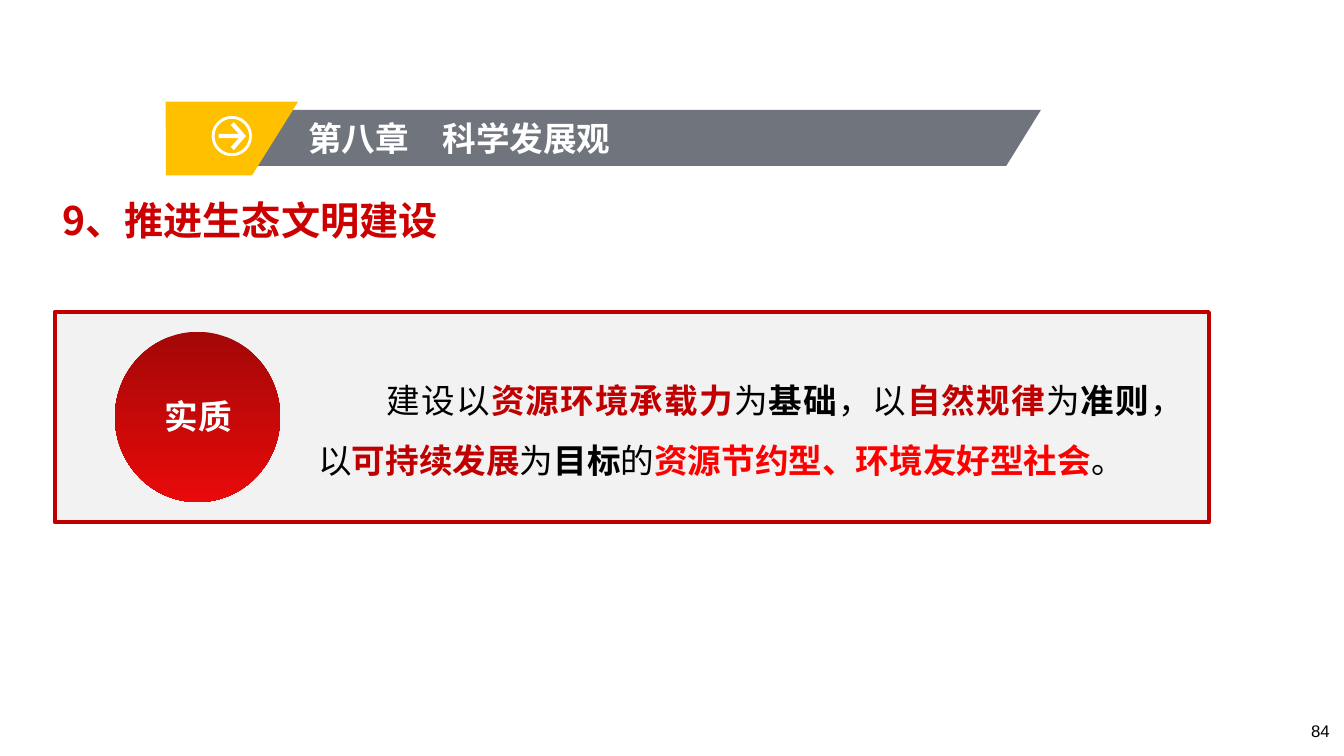
from lxml.etree import SubElement
from pptx import Presentation
from pptx.dml.color import RGBColor
from pptx.enum.shapes import MSO_SHAPE
from pptx.enum.text import MSO_ANCHOR, PP_ALIGN
from pptx.oxml.ns import qn
from pptx.util import Pt

COLORS = {
    "white": "FFFFFF", "black": "000000", "slate": "70757D", "amber": "FFC000",
    "heading": "CC0000", "panel": "F2F2F2", "crimson": "C00000", "red": "FF0000",
    "disc_top": "A40707", "disc_bottom": "E80A0A",
}
CJK = "Noto Sans CJK SC"


def rgb(name):
    return RGBColor.from_string(COLORS[name])


def paint(s, fill=None, line=None, width=0):
    s.shadow.inherit = False
    if fill:
        s.fill.solid()
        s.fill.fore_color.rgb = rgb(fill)
    else:
        s.fill.background()
    if line:
        s.line.color.rgb = rgb(line)
        s.line.width = Pt(width)
    else:
        s.line.fill.background()
    return s


def add_preset(shapes, kind, box, **style):
    return paint(shapes.add_shape(kind, *map(Pt, box)), **style)


def add_outline(shapes, points, fill):
    points = [(Pt(x), Pt(y)) for x, y in points]
    builder = shapes.build_freeform(*points[0], scale=1.0)
    builder.add_line_segments(points[1:], close=True)
    return paint(builder.convert_to_shape(), fill=fill)


def add_text(shapes, box, runs, size, font=CJK, wrap=True, anchor=MSO_ANCHOR.TOP,
             indent=0, **paragraph_format):
    """Each run is (text, color, bold)."""
    sp = shapes.add_textbox(*map(Pt, box))
    tf = sp.text_frame
    tf.word_wrap = wrap
    tf.vertical_anchor = anchor
    p = tf.paragraphs[0]
    if indent:
        p._p.get_or_add_pPr().set("indent", str(Pt(indent)))
    for name, value in paragraph_format.items():
        setattr(p, name, value)
    for text, color, bold in runs:
        r = p.add_run()
        r.text = text
        for name, value in {"name": font, "size": Pt(size), "bold": bold}.items():
            setattr(r.font, name, value)
        r.font.color.rgb = rgb(color)
        SubElement(r._r.get_or_add_rPr(), qn("a:ea")).set("typeface", font)
    return sp


def add_banner(shapes):
    add_outline(shapes, [(124, 78.5), (743.6, 78.5), (718.8, 118.5), (124, 118.5)], "slate")
    add_outline(shapes, [(118.3, 72.5), (213, 72.5), (180, 125.3), (118.6, 125.3)], "amber")
    add_text(shapes, (213, 80.6, 237, 36), [("第八章\u3000科学发展观".replace("\u3000", "　"), "white", True)],
             24, wrap=False)
    # Ringed arrow
    add_preset(shapes, MSO_SHAPE.OVAL, (152.2, 83.8, 26.8, 26.8), line="white", width=2)
    mid = 97.2
    upper = [(156.2, 1.5), (170.6, 1.5), (164.9, 7.8), (167, 10)]
    top = [(x, mid - dy) for x, dy in upper]
    bottom = [(x, mid + dy) for x, dy in reversed(upper)]
    add_outline(shapes, top + [(175.7, mid)] + bottom, "white")


def add_essence(shapes):
    add_preset(shapes, MSO_SHAPE.RECTANGLE, (39, 223, 824.5, 150),
               fill="panel", line="crimson", width=3)
    # Definition
    runs = [
        ("建设以", "black", False), ("资源环境承载力", "crimson", True),
        ("为", "black", False), ("基础", "black", True),
        ("，以", "black", False), ("自然规律", "crimson", True),
        ("为", "black", False), ("准则", "black", True),
        ("，以", "black", False), ("可持续发展", "crimson", True),
        ("为", "black", False), ("目标", "black", True),
        ("的", "black", False), ("资源节约型、环境友好型社会", "red", True),
        ("。", "black", False),
    ]
    add_text(shapes, (220.3, 253.4, 632.2, 89.3), runs, 24, indent=49,
             alignment=PP_ALIGN.JUSTIFY, line_spacing=1.5)
    # Disc with its label
    disc = add_preset(shapes, MSO_SHAPE.OVAL, (82.1, 237, 118.1, 121.7), fill="panel")
    disc.fill.gradient()
    disc.fill.gradient_angle = 270
    for stop, color in zip(disc.fill.gradient_stops, ("disc_top", "disc_bottom")):
        stop.color.rgb = rgb(color)
    add_text(shapes, (97.2, 279.4, 88.6, 36.7), [("实质", "white", True)], 24,
             alignment=PP_ALIGN.CENTER)


def main():
    prs = Presentation()
    prs.slide_width, prs.slide_height = Pt(960), Pt(540)
    shapes = prs.slides.add_slide(prs.slide_layouts[6]).shapes
    add_banner(shapes)
    add_text(shapes, (37.4, 130.3, 755.3, 36.7), [("9、推进生态文明建设", "heading", True)],
             28, anchor=MSO_ANCHOR.MIDDLE, line_spacing=1.5)
    add_essence(shapes)
    # Page number
    add_text(shapes, (920.2, 511.2, 36.7, 28.8), [("84", "black", False)], 12,
             font="Arial", alignment=PP_ALIGN.RIGHT)
    prs.save("out.pptx")


if __name__ == "__main__":
    main()
